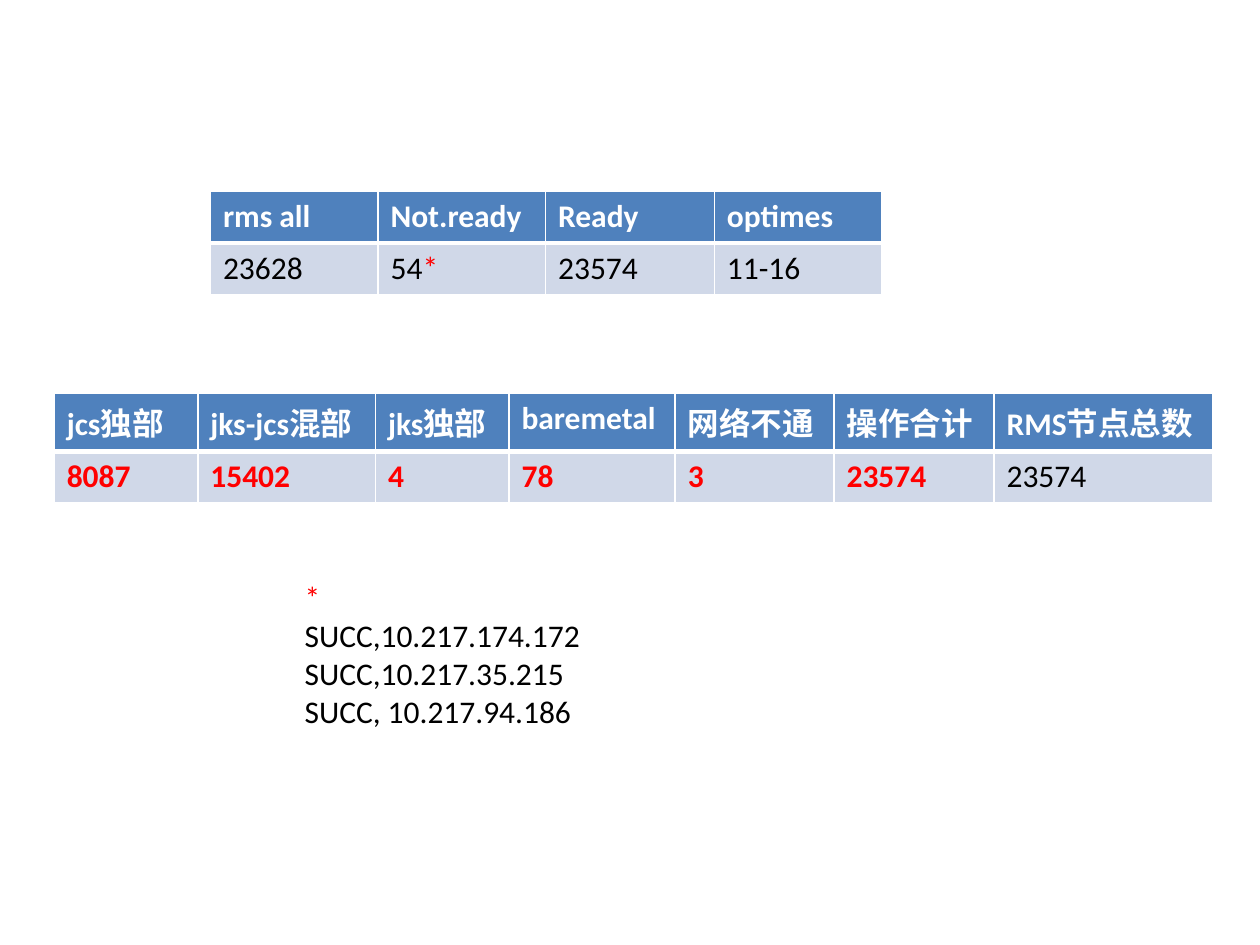
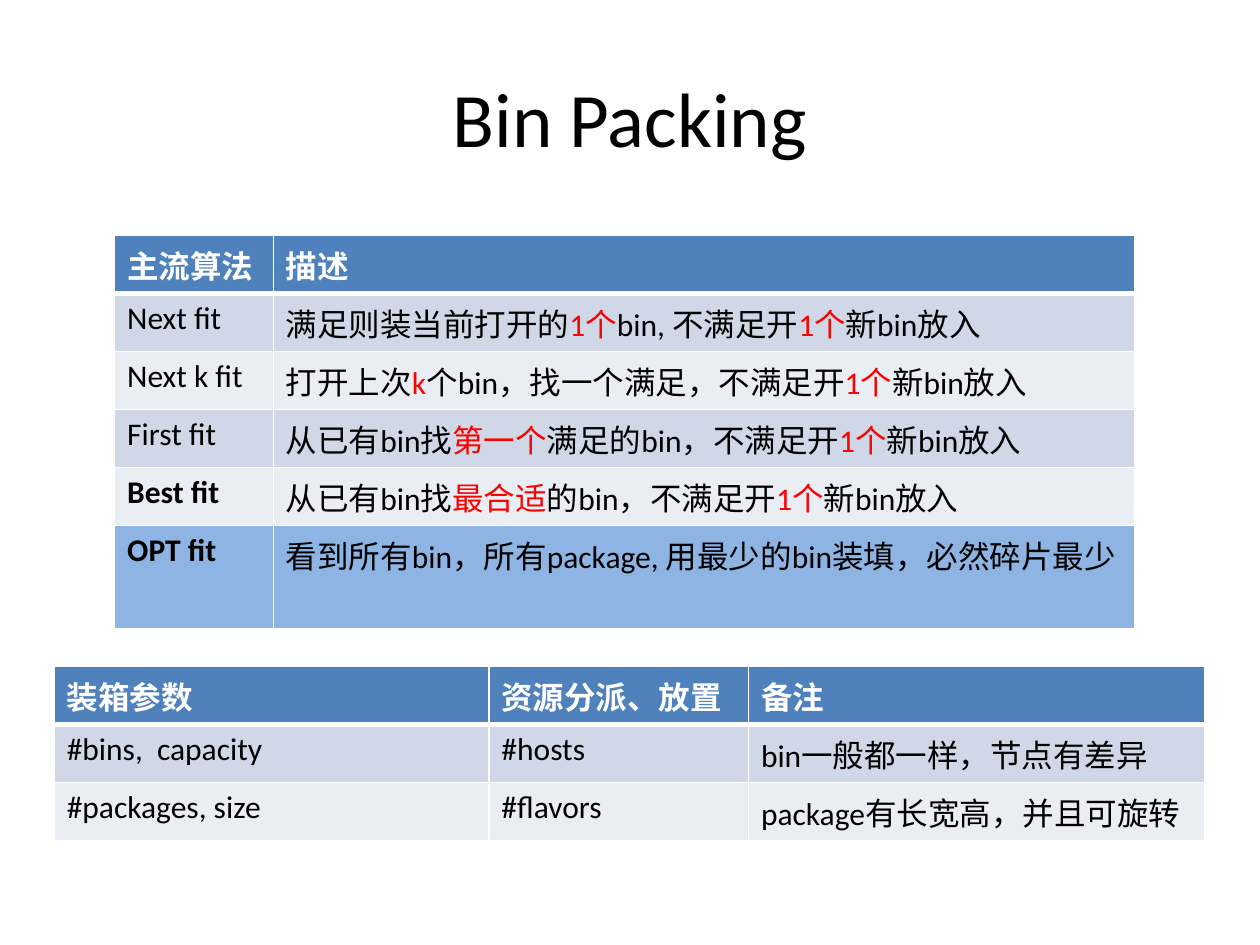
from dataclasses import dataclass

from lxml import etree
from pptx import Presentation
from pptx.dml.color import RGBColor
from pptx.enum.text import MSO_ANCHOR, MSO_AUTO_SIZE, PP_ALIGN
from pptx.oxml.ns import qn
from pptx.util import Pt

EMU_PER_PX = 9144
EMU_PER_POINT = 12700
BLANK_LAYOUT = 6
LATIN_ROW, CHINESE_ROW, TWO_LINE_ROW = 41, 46, 82
LEFT, CENTER = PP_ALIGN.LEFT, PP_ALIGN.CENTER
TOP, MIDDLE = MSO_ANCHOR.TOP, MSO_ANCHOR.MIDDLE
GROW = MSO_AUTO_SIZE.SHAPE_TO_FIT_TEXT
NO_FIT = MSO_AUTO_SIZE.NONE


@dataclass(frozen=True)
class Theme:
    font: str = "Calibri"
    title_size: int = 44
    body_size: int = 18
    ink: str = "000000"
    accent: str = "FF0000"
    paper: str = "FFFFFF"
    header: str = "4F81BD"
    bands: tuple = ("D0D8E8", "E9EDF4")
    highlight: str = "8EB4E3"
    thin_line: int = 1
    thick_line: int = 3


THEME = Theme()


def px(length):
    return length * EMU_PER_PX


def write(para, text, size=THEME.body_size, color=THEME.ink, bold=False, align=LEFT):
    """Parts between bars take the accent colour."""
    para.alignment = align
    for index, part in enumerate(text.split("|")):
        if part:
            span = para.add_run()
            span.text = part
            span.font.name = THEME.font
            span.font.size = Pt(size)
            span.font.bold = bold
            span.font.color.rgb = RGBColor.from_string(THEME.accent if index % 2 else color)


class SlideBuilder:
    def __init__(self, deck, theme):
        self.deck = deck
        self.theme = theme
        self.page = None

    def add_page(self):
        self.page = self.deck.slides.add_slide(self.deck.slide_layouts[BLANK_LAYOUT])

    def add_text(self, left, top, width, height, lines, anchor=TOP, fit=GROW, **text_format):
        box = self.page.shapes.add_textbox(px(left), px(top), px(width), px(height))
        frame = box.text_frame
        frame.word_wrap = True
        frame.auto_size = fit
        frame.vertical_anchor = anchor
        for index, line in enumerate(lines):
            para = frame.add_paragraph() if index else frame.paragraphs[0]
            write(para, line, **text_format)

    def add_title(self, text):
        self.add_text(50, 30, 900, 125, [text], anchor=MIDDLE, fit=NO_FIT,
                      size=self.theme.title_size, align=CENTER)

    def add_table(self, left, top, widths, heights, rows, bold_cells=(), row_fills=None):
        table = self.page.shapes.add_table(
            len(rows), len(widths), px(left), px(top),
            px(sum(widths)), px(sum(heights))).table
        table.first_row = table.horz_banding = False
        for column, width in zip(table.columns, widths):
            column.width = px(width)
        for table_row, height in zip(table.rows, heights):
            table_row.height = px(height)
        fills = {0: self.theme.header, **(row_fills or {})}
        for row_index, row in enumerate(rows):
            band = self.theme.bands[(row_index - 1) % len(self.theme.bands)]
            is_header = row_index == 0
            for column_index, text in enumerate(row):
                cell = table.cell(row_index, column_index)
                self.draw_borders(cell, row_index)
                cell.fill.solid()
                cell.fill.fore_color.rgb = RGBColor.from_string(fills.get(row_index, band))
                write(cell.text_frame.paragraphs[0], text,
                      color=self.theme.paper if is_header else self.theme.ink,
                      bold=is_header or (row_index, column_index) in bold_cells)

    def draw_borders(self, cell, row_index):
        thin, thick = self.theme.thin_line, self.theme.thick_line
        points = {"lnL": thin, "lnR": thin,
                  "lnT": thick if row_index == 1 else thin,
                  "lnB": thick if row_index == 0 else thin}
        properties = cell._tc.get_or_add_tcPr()
        for side, width in points.items():
            line = etree.SubElement(properties, qn(f"a:{side}"), w=str(width * EMU_PER_POINT))
            fill = etree.SubElement(line, qn("a:solidFill"))
            etree.SubElement(fill, qn("a:srgbClr"), val=self.theme.paper)


def build_node_counts(builder):
    builder.add_page()
    builder.add_table(43, 312, [114, 141, 106, 132, 126, 127, 174], [CHINESE_ROW, LATIN_ROW], [
        ["jcs独部", "jks-jcs混部", "jks独部", "baremetal", "网络不通", "操作合计", "RMS节点总数"],
        ["|8087|", "|15402|", "|4|", "|78|", "|3|", "|23574|", "23574"],
    ], bold_cells=[(1, column) for column in range(6)])
    builder.add_table(167, 152, [133, 133, 134, 133], [LATIN_ROW] * 2, [
        ["rms all", "Not.ready", "Ready", "optimes"],
        ["23628", "54|*|", "23574", "11-16"],
    ])
    builder.add_text(232, 454, 500, 131, [
        "|*|",
        "SUCC,10.217.174.172",
        "SUCC,10.217.35.215",
        "SUCC, 10.217.94.186",
    ])


def build_bin_packing(builder):
    builder.add_page()
    builder.add_title("Bin Packing")
    builder.add_table(43, 529, [345, 206, 362], [CHINESE_ROW] * 3, [
        ["装箱参数", "资源分派、放置", "备注"],
        ["#bins,  capacity", "#hosts", "bin一般都一样，节点有差异"],
        ["#packages, size", "#flavors", "package有长宽高，并且可旋转"],
    ])
    builder.add_table(91, 187, [126, 684], [CHINESE_ROW] * 5 + [TWO_LINE_ROW], [
        ["主流算法", "描述"],
        ["Next fit", "满足则装当前打开的|1个|bin, 不满足开|1个|新bin放入"],
        ["Next k fit", "打开上次|k|个bin，找一个满足，不满足开|1个|新bin放入"],
        ["First fit", "从已有bin找|第一个|满足的bin，不满足开|1个|新bin放入"],
        ["Best fit", "从已有bin找|最合适|的bin，不满足开|1个|新bin放入"],
        ["OPT fit", "看到所有bin，所有package, 用最少的bin装填，必然碎片最少"],
    ], bold_cells=[(4, 0), (5, 0)], row_fills={5: builder.theme.highlight})


def main():
    deck = Presentation()
    deck.slide_width, deck.slide_height = px(1000), px(750)
    builder = SlideBuilder(deck, THEME)
    build_node_counts(builder)
    build_bin_packing(builder)
    deck.save("out.pptx")


if __name__ == "__main__":
    main()
